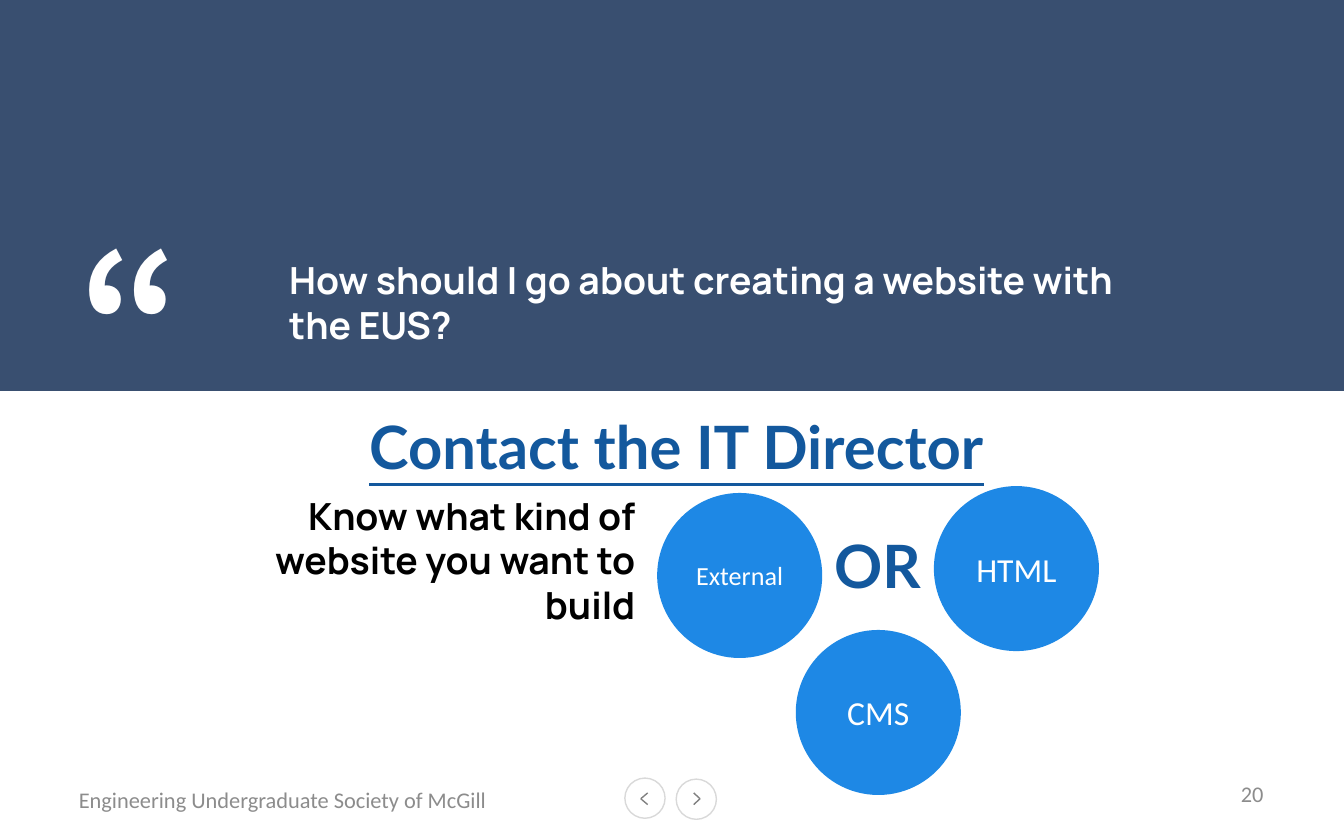
import pptx
import pptx.util
import pptx.dml.color
import pptx.enum.shapes
import pptx.enum.text
import pptx.oxml.ns
import lxml.etree

Cm = pptx.util.Cm
Kind = pptx.enum.shapes.MSO_SHAPE
Align = pptx.enum.text.PP_ALIGN
Anchor = pptx.enum.text.MSO_ANCHOR
qn = pptx.oxml.ns.qn


def paint(form, tint):
    if hasattr(form, "solid"):
        form.solid()
        form = form.fore_color
    else:
        form = form.color
    form.rgb = pptx.dml.color.RGBColor.from_string(tint)


def write(shape, words, size, face, tint, bold, align, anchor):
    frame = shape.text_frame
    frame.text = words
    frame.word_wrap = True
    frame.auto_size = pptx.enum.text.MSO_AUTO_SIZE.NONE
    frame.vertical_anchor = anchor
    para = frame.paragraphs[0]
    para.alignment = align
    font = para.runs[0].font
    font.size = pptx.util.Pt(size)
    font.name = face
    font.bold = bold
    paint(font, tint)
    return para


deck = pptx.Presentation()
deck.slide_width = Cm(25.4)
deck.slide_height = Cm(15.88)
slide = deck.slides.add_slide(deck.slide_layouts[5])
shapes = slide.shapes

for left, top in [(11.81, 14.71), (12.78, 14.73)]:
    button = shapes.add_shape(Kind.OVAL, Cm(left), Cm(top), Cm(0.76), Cm(0.76))
    button.shadow.inherit = False
    paint(button.fill, "FFFFFF")
    paint(button.line, "D9D9D9")
    button.line.width = pptx.util.Pt(0.75)

for tip, back in [(12.11, 12.24), (13.23, 13.11)]:
    for rise in (-0.11, 0.11):
        line = shapes.add_connector(
            pptx.enum.shapes.MSO_CONNECTOR.STRAIGHT,
            Cm(tip), Cm(15.1), Cm(back), Cm(15.1 + rise))
        paint(line.line, "808080")
        line.line.width = pptx.util.Pt(0.75)
        lxml.etree.SubElement(line._element.spPr, qn("a:effectLst"))

for tint in ("D9D9D9", "072450"):
    panel = shapes.add_shape(Kind.RECTANGLE, 0, 0, Cm(25.4), Cm(7.39))
    panel.shadow.inherit = False
    paint(panel.fill, tint)
    panel.line.fill.background()
color = panel._element.spPr.find(".//" + qn("a:srgbClr"))
lxml.etree.SubElement(color, qn("a:alpha")).set("val", "76000")

title = shapes.title
title.left, title.top = Cm(5.21), Cm(3.48)
title.width, title.height = Cm(16.26), Cm(4.45)
write(title, "How should I go about creating a website with the EUS?",
      20, "Manrope", "FFFFFF", True, Align.LEFT, Anchor.MIDDLE)
shapes._spTree.append(title._element)

notes = [
    ("Engineering Undergraduate Society of McGill", 1.24, 14.73, 8.61, 0.76,
     12, "Calibri", "8C8C8C", False, Align.LEFT, Anchor.MIDDLE),
    ("20", 18.21, 14.58, 5.92, 0.84,
     12, "Calibri", "8C8C8C", False, Align.RIGHT, Anchor.MIDDLE),
    ("Contact the IT Director", 4.11, 7.62, 17.35, 1.63,
     32, "Lato", "13589D", True, Align.CENTER, Anchor.TOP),
    ("Know what kind of website you want to build", 4.11, 9.19, 8.15, 2.82,
     20, "Manrope", "000000", True, Align.RIGHT, Anchor.TOP),
    ("OR", 15.44, 9.88, 2.29, 1.63,
     32, "Lato", "13589D", True, Align.CENTER, Anchor.TOP),
    ("“", 1.24, 2.95, 2.44, 4.45,
     96, "Noto Sans CJK JP", "FFFFFF", True, Align.LEFT, Anchor.MIDDLE),
]
for words, left, top, width, height, *style in notes:
    box = shapes.add_textbox(Cm(left), Cm(top), Cm(width), Cm(height))
    para = write(box, words, *style)
    if words == "Contact the IT Director":
        para.runs[0].font.underline = True
    if words == "“":
        para.line_spacing = 1.4

for words, left, top, size in [("HTML", 17.65, 9.19, 18),
                               ("CMS", 15.04, 11.91, 18),
                               ("External", 12.42, 9.32, 14)]:
    disc = shapes.add_shape(Kind.OVAL, Cm(left), Cm(top), Cm(3.12), Cm(3.12))
    disc.shadow.inherit = False
    paint(disc.fill, "1E88E5")
    disc.line.fill.background()
    write(disc, words, size, "Calibri", "FFFFFF", False,
          Align.CENTER, Anchor.MIDDLE)

deck.save("out.pptx")
